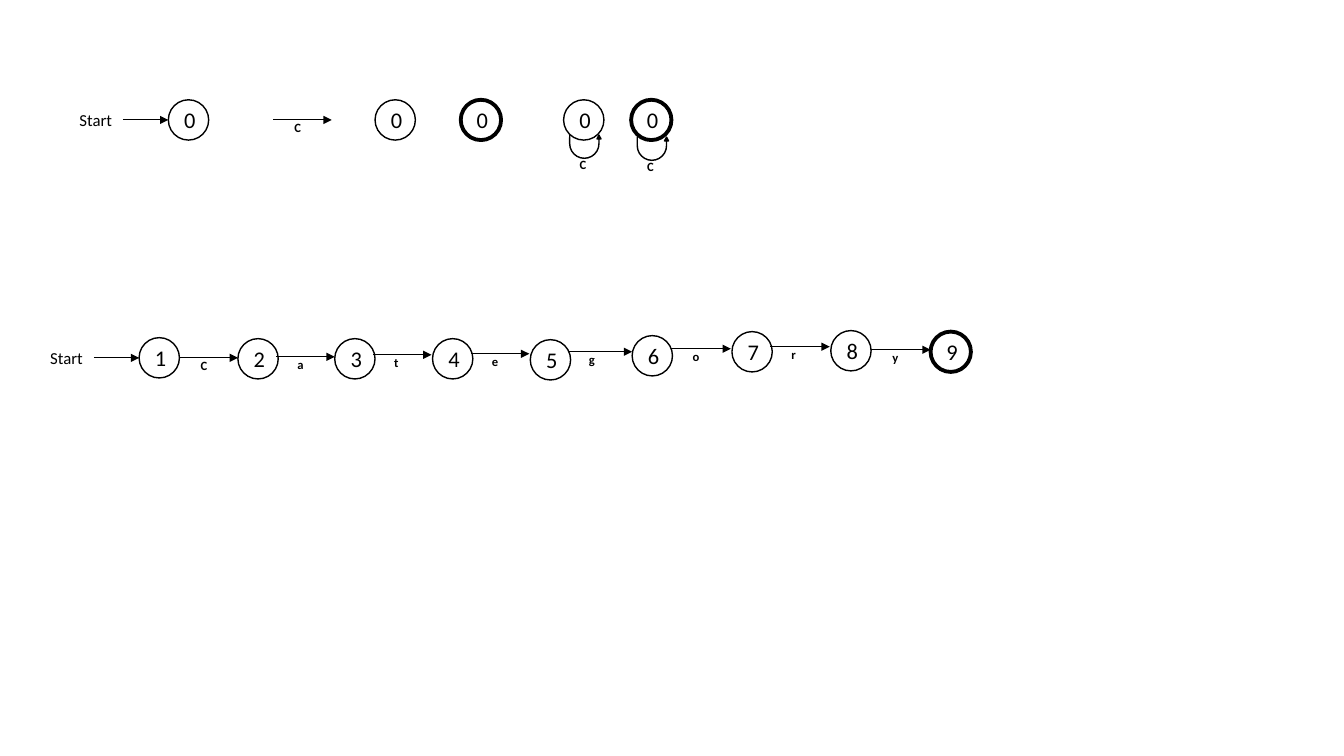
import pptx
import pptx.dml.color
import pptx.enum.shapes
import pptx.enum.text
import pptx.oxml.ns
import pptx.util
from lxml import etree
from pptx.util import Inches

COLORS = {"ink": "000000"}
FONT = "Calibri"
DIAMETER = 0.4
THIN, THICK = 1, 2.75

TEXT = {
    "start": {"size": pptx.util.Pt(12)},
    "state": {"size": pptx.util.Pt(16)},
    "letter": {"size": pptx.util.Pt(9), "bold": True},
}

# digit, left, top, outline width
CHAIN_STATES = [
    ("2", 2.36, 3.36, THIN), ("3", 3.32, 3.36, THIN),
    ("4", 4.29, 3.36, THIN), ("5", 5.26, 3.37, THIN),
    ("6", 6.27, 3.33, THIN), ("7", 7.26, 3.29, THIN),
    ("8", 8.24, 3.28, THIN), ("9", 9.23, 3.29, THICK),
]
# letter, left, height on the slide, length
CHAIN_STEPS = [
    ("C", 1.78, 3.55, 0.58), ("a", 2.74, 3.54, 0.58),
    ("t", 3.7, 3.52, 0.58), ("e", 4.67, 3.51, 0.58),
    ("g", 5.63, 3.49, 0.64), ("o", 6.66, 3.46, 0.59),
    ("r", 7.64, 3.44, 0.59), ("y", 8.64, 3.47, 0.59),
]


def ink():
    return pptx.dml.color.RGBColor.from_string(COLORS["ink"])


def set_line(line, width):
    line.color.rgb = ink()
    line.width = pptx.util.Pt(width)


def write(tf, text, kind):
    p = tf.paragraphs[0]
    r = p.add_run()
    r.text = text
    r.font.name = FONT
    r.font.color.rgb = ink()
    for name, value in TEXT[kind].items():
        setattr(r.font, name, value)
    return p


def add_label(s, text, kind, x, y, w, h, inset):
    box = s.shapes.add_textbox(Inches(x), Inches(y), Inches(w), Inches(h))
    tf = box.text_frame
    tf.word_wrap = False
    tf.margin_left = Inches(inset)
    tf.margin_right = 0
    write(tf, text, kind)


def add_letter(s, text, x, y):
    add_label(s, text, "letter", x, y, 0.16, 0.25, 0.06)


def add_arrow(s, x, y, length):
    cx = s.shapes.add_connector(
        pptx.enum.shapes.MSO_CONNECTOR.STRAIGHT,
        Inches(x), Inches(y), Inches(x + length), Inches(y))
    set_line(cx.line, 0.75)
    tail = etree.SubElement(cx.line._get_or_add_ln(), pptx.oxml.ns.qn("a:tailEnd"))
    tail.set("type", "triangle")
    etree.SubElement(cx._element.spPr, pptx.oxml.ns.qn("a:effectLst"))


def add_state(s, digit, x, y, width=THIN):
    sp = s.shapes.add_shape(
        pptx.enum.shapes.MSO_SHAPE.OVAL,
        Inches(x), Inches(y), Inches(DIAMETER), Inches(DIAMETER))
    sp.shadow.inherit = False
    sp.fill.background()
    set_line(sp.line, width)
    tf = sp.text_frame
    tf.vertical_anchor = pptx.enum.text.MSO_ANCHOR.MIDDLE
    p = write(tf, digit, "state")
    p.alignment = pptx.enum.text.PP_ALIGN.CENTER


def add_start(s, digit, x, y):
    """Draw the word Start, its arrow and the first state."""
    middle = y + DIAMETER / 2
    add_label(s, "Start", "start", x, middle - 0.15, 0.53, 0.3, 0.1)
    add_arrow(s, x + 0.53, middle, 0.45)
    add_state(s, digit, x + 0.98, y)


def add_step(s, letter, x, y, length):
    """Draw a transition arrow with its letter below."""
    add_arrow(s, x, y, length)
    add_letter(s, letter, x + 0.15, y - 0.05)


def add_loop_state(s, x, y, width, drop):
    """Draw a state whose transition returns to itself."""
    add_state(s, "0", x, y, width)
    sp = s.shapes.add_shape(
        pptx.enum.shapes.MSO_SHAPE.U_TURN_ARROW,
        Inches(x + 0.06), Inches(y + drop), Inches(0.31), Inches(0.23))
    sp.shadow.inherit = False
    sp.rotation = 180
    sp._element.spPr.xfrm.set("flipH", "1")
    for i, value in enumerate((0, 0.085, 0.164, 0.717, 1)):
        sp.adjustments[i] = value
    sp.fill.solid()
    sp.fill.fore_color.rgb = ink()
    set_line(sp.line, THIN)
    add_letter(s, "C", x + 0.1, y + drop + 0.17)


def main():
    prs = pptx.Presentation()
    prs.slide_width, prs.slide_height = Inches(13.33), Inches(7.5)
    s = prs.slides.add_slide(prs.slide_layouts[6])

    legend_top = 0.99
    add_start(s, "0", 0.69, legend_top)
    add_step(s, "C", 2.71, legend_top + DIAMETER / 2, 0.58)
    add_state(s, "0", 3.72, legend_top)
    add_state(s, "0", 4.57, legend_top, THICK)
    add_loop_state(s, 5.59, legend_top, THIN, 0.35)
    add_loop_state(s, 6.26, legend_top, THICK, 0.37)

    add_start(s, "1", 0.4, 3.35)
    for step in CHAIN_STEPS:
        add_step(s, *step)
    for state in CHAIN_STATES:
        add_state(s, *state)

    prs.save("out.pptx")


if __name__ == "__main__":
    main()
